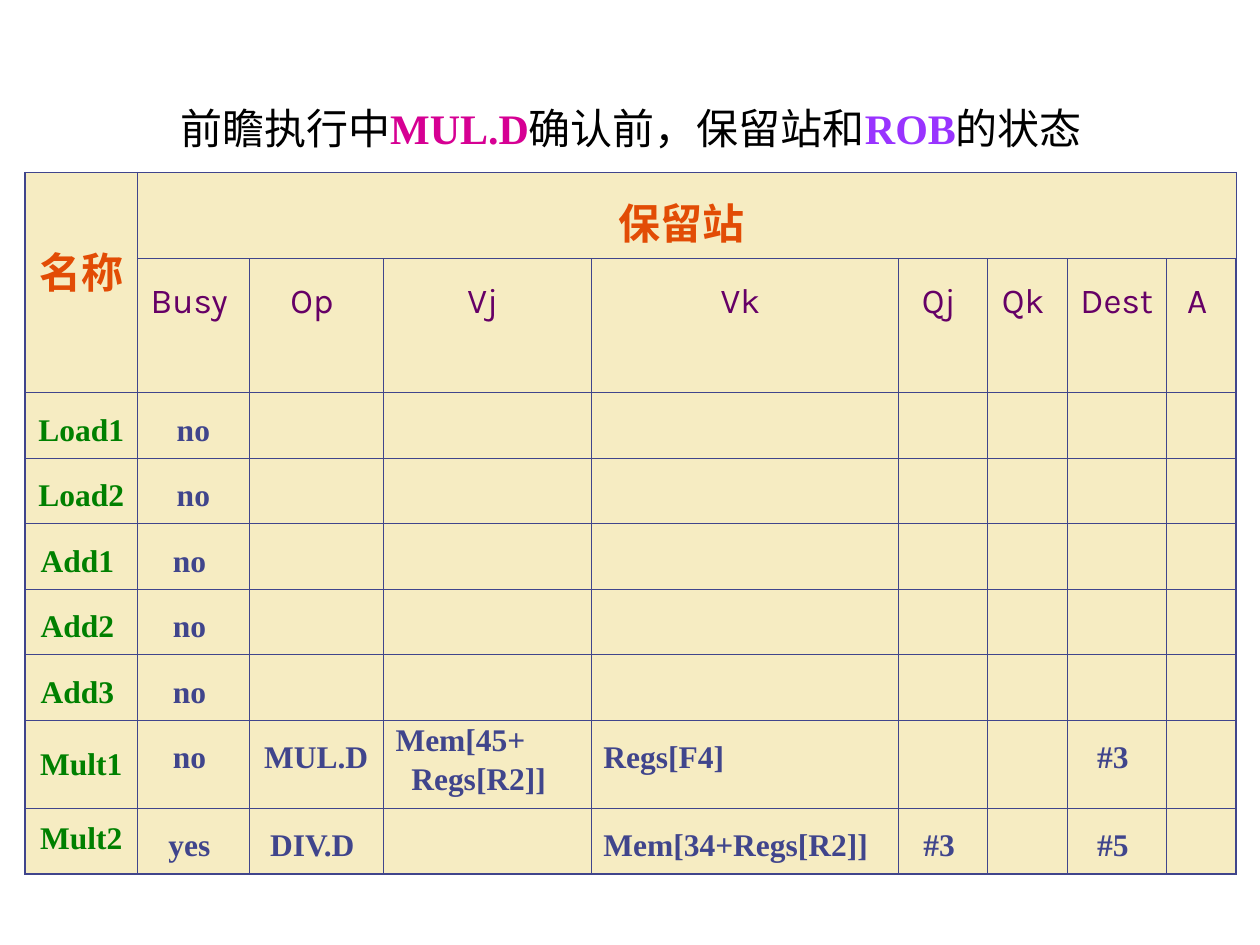
import pptx
import pptx.util
import pptx.dml.color
import pptx.enum.text
from lxml import etree
from pptx.oxml.ns import qn

CJK, LATIN, LABEL = "Noto Sans CJK SC", "Times New Roman", "Karla"
INK, CREAM, GREEN, ORANGE, PLUM = "40458C", "F6ECC2", "008000", "E24C05", "660066"
LEFT, CENTER = pptx.enum.text.PP_ALIGN.LEFT, pptx.enum.text.PP_ALIGN.CENTER

COLUMNS = [0.89, 0.89, 1.06, 1.65, 2.44, 0.71, 0.63, 0.79, 0.55]
ROWS = [0.58, 1.03] + [0.52] * 5 + [0.7, 0.52]
HEADS = ["Busy ", "Op ", "Vj ", "Vk ", "Qj ", "Qk ", "Dest ", "A "]
STATIONS = [
    ["Load1", "no"],
    ["Load2", "no"],
    ["Add1 ", "no "],
    ["Add2 ", "no "],
    ["Add3 ", "no "],
    ["Mult1 ", "no ", "MUL.D", "Mem[45+\nRegs[R2]]", "Regs[F4]", "", "", "#3 ", ""],
    ["Mult2 ", "yes ", "DIV.D ", "", "Mem[34+Regs[R2]]", "#3 ", "", "#5 ", ""],
]
NAME_SPACING = {"Mult1 ": 1.6, "Mult2 ": 1.2}
VALUE_COLUMNS = (3, 4)


def rgb(value):
    return pptx.dml.color.RGBColor.from_string(value)


def add_run(p, text, font, size, color, bold=False):
    r = p.add_run()
    r.text = text
    r.font.name, r.font.size, r.font.bold = font, pptx.util.Pt(size), bold
    r.font.color.rgb = rgb(color)
    if font == CJK:
        ea = etree.SubElement(r.font._element, qn("a:ea"))
        ea.set("typeface", font)


def set_borders(cell, widths):
    """Draw the left, right, top and bottom lines, widths in points."""
    tcPr = cell._tc.get_or_add_tcPr()
    for side, width in zip("LRTB", widths):
        ln = etree.SubElement(tcPr, qn("a:ln" + side))
        ln.set("w", str(pptx.util.Pt(width)))
        fill = etree.SubElement(ln, qn("a:solidFill"))
        etree.SubElement(fill, qn("a:srgbClr")).set("val", INK)


def write_cell(cell, text, font, size, color, bold, spacing, before, align=CENTER):
    """Put each line in its own paragraph; later lines are indented."""
    tf = cell.text_frame
    for i, line in enumerate(text.split("\n")):
        p = tf.add_paragraph() if i else tf.paragraphs[0]
        p.alignment, p.line_spacing = align, spacing
        p.space_before = pptx.util.Pt(before)
        if i:
            p._p.get_or_add_pPr().set("marL", str(pptx.util.Pt(size / 2)))
        add_run(p, line, font, size, color, bold)


def format_grid(table):
    last_row, last_col = len(ROWS) - 1, len(COLUMNS) - 1
    for y in range(len(ROWS)):
        for x in range(len(COLUMNS)):
            cell = table.cell(y, x)
            edges = (x == 0, x == last_col, y == 0, y == last_row)
            set_borders(cell, [1.08 if outer else 0.45 for outer in edges])
            cell.fill.solid()
            cell.fill.fore_color.rgb = rgb(CREAM)


def add_stations(s, left, top):
    frame = s.shapes.add_table(
        len(ROWS), len(COLUMNS), left, top,
        pptx.util.Inches(sum(COLUMNS)), pptx.util.Inches(sum(ROWS)))
    table = frame.table
    table.first_row = table.horz_banding = False
    for column, width in zip(table.columns, COLUMNS):
        column.width = pptx.util.Inches(width)
    for row, height in zip(table.rows, ROWS):
        row.height = pptx.util.Inches(height)
    format_grid(table)

    table.cell(0, 0).merge(table.cell(1, 0))
    table.cell(0, 1).merge(table.cell(0, len(COLUMNS) - 1))
    write_cell(table.cell(0, 0), "名称 ", CJK, 24, ORANGE, True, 2.0, 6)
    write_cell(table.cell(0, 1), "保留站 ", CJK, 24, ORANGE, True, 1.2, 6)
    for x, head in enumerate(HEADS, 1):
        write_cell(table.cell(1, x), head, LABEL, 20, PLUM, False, 1.4, 5)
    for y, station in enumerate(STATIONS, 2):
        for x, text in enumerate(station):
            if not text:
                continue
            spacing = 0.9 if "\n" in text else NAME_SPACING.get(text, 1.4)
            write_cell(table.cell(y, x), text, LATIN, 18, INK if x else GREEN, True,
                       spacing, 4.5, LEFT if x in VALUE_COLUMNS else CENTER)


def set_title(s, left, top, width, height):
    title = s.shapes.title
    title.left, title.top, title.width, title.height = left, top, width, height
    tf = title.text_frame
    tf.word_wrap = True
    tf.auto_size = pptx.enum.text.MSO_AUTO_SIZE.NONE
    tf.vertical_anchor = pptx.enum.text.MSO_ANCHOR.TOP
    p = tf.paragraphs[0]
    p.alignment, p.space_before = LEFT, pptx.util.Pt(15)
    for text, font, color in [
        ("前瞻执行中", CJK, "000000"),
        ("MUL.D", LATIN, "D60093"),
        ("确认前，保留站和", CJK, "000000"),
        ("ROB", LATIN, "9933FF"),
        ("的状态", CJK, "000000"),
    ]:
        add_run(p, text, font, 24, color, font == LATIN)


def main():
    prs = pptx.Presentation()
    prs.slide_width, prs.slide_height = pptx.util.Inches(10), pptx.util.Inches(7.5)
    s = prs.slides.add_slide(prs.slide_layouts[5])
    inches = pptx.util.Inches
    add_stations(s, inches(0.2), inches(1.37))
    set_title(s, inches(1.33), inches(0.76), inches(7.92), inches(0.5))
    prs.save("out.pptx")


if __name__ == "__main__":
    main()
